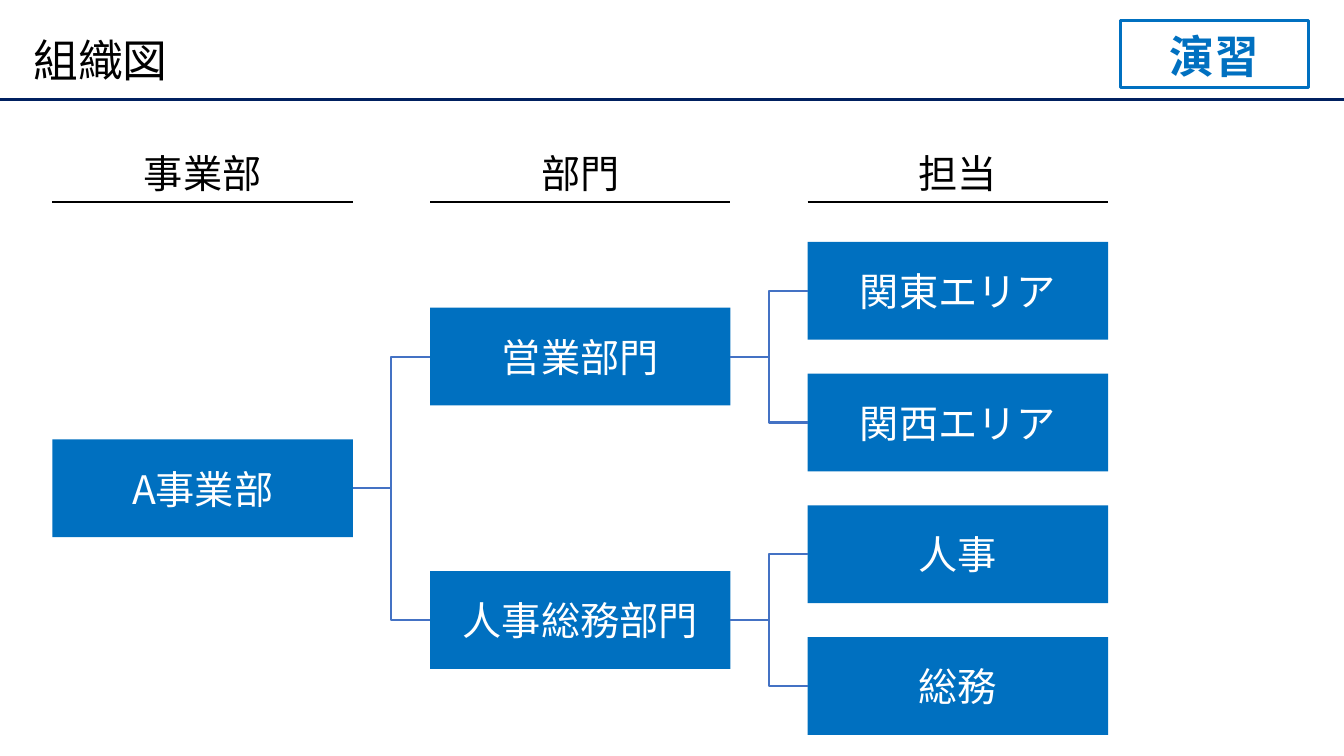
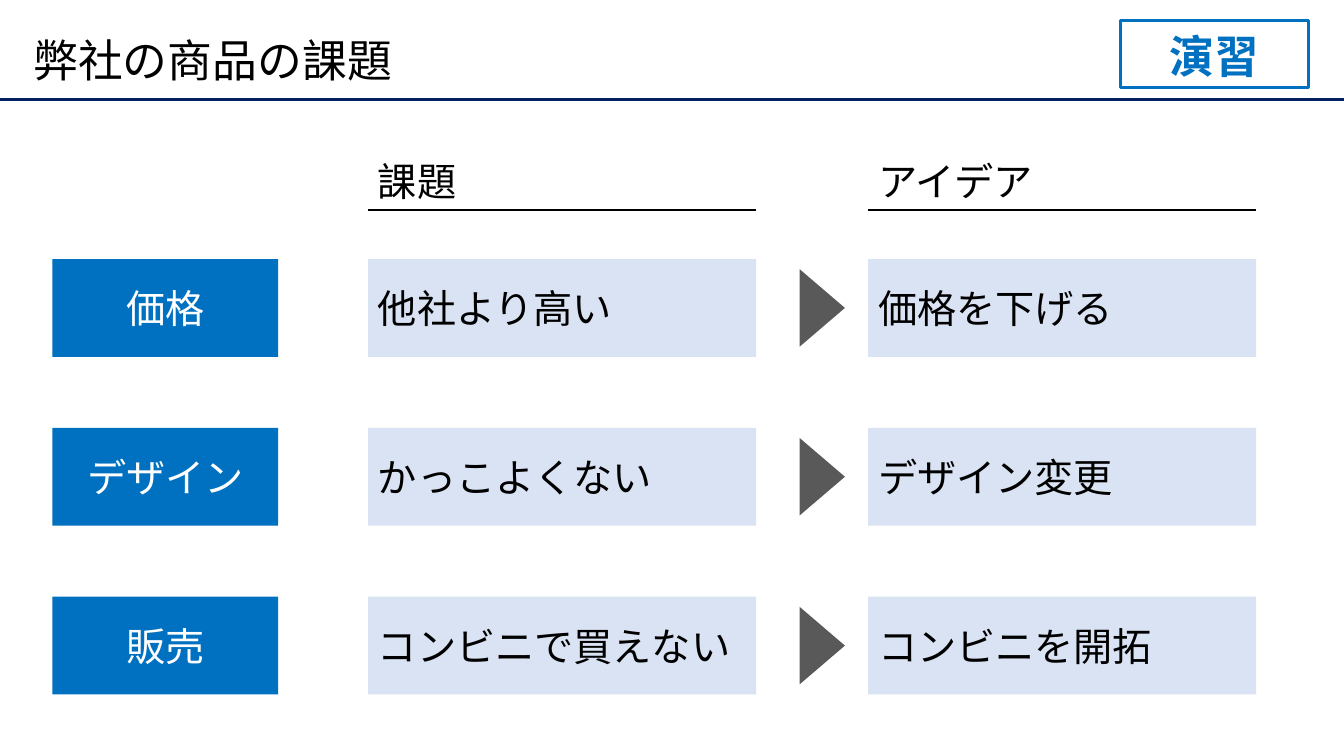
from dataclasses import dataclass

from lxml import etree
from pptx import Presentation
from pptx.dml.color import RGBColor
from pptx.enum.shapes import MSO_CONNECTOR, MSO_SHAPE
from pptx.enum.text import MSO_ANCHOR, MSO_AUTO_SIZE, PP_ALIGN
from pptx.oxml.ns import qn
from pptx.util import Inches, Pt

STRAIGHT, ELBOW = MSO_CONNECTOR.STRAIGHT, MSO_CONNECTOR.ELBOW
RECTANGLE, TRIANGLE = MSO_SHAPE.RECTANGLE, MSO_SHAPE.ISOSCELES_TRIANGLE
LEFT, CENTER = PP_ALIGN.LEFT, PP_ALIGN.CENTER
MIDDLE, BOTTOM = MSO_ANCHOR.MIDDLE, MSO_ANCHOR.BOTTOM
LEFT_SIDE, RIGHT_SIDE = 1, 3
TITLE_ONLY = 5


@dataclass(frozen=True)
class Theme:
    font: str = "Noto Sans CJK JP"
    title_size: int = 32
    body_size: int = 28
    frame_width: float = 2.25
    line_width: float = 1.5
    navy: str = "002060"
    blue: str = "0070C0"
    link: str = "4472C4"
    pale: str = "DAE3F3"
    gray: str = "595959"
    black: str = "000000"
    white: str = "FFFFFF"


@dataclass(frozen=True)
class Box:
    left: float
    top: float
    width: float
    height: float

    def inches(self):
        return [Inches(v) for v in (self.left, self.top, self.width, self.height)]


THEME = Theme()
SLIDE = Box(0, 0, 13.33, 7.5)
TITLE = Box(0.23, 0.2, 12.6, 0.84)
BADGE = Box(11.11, 0.2, 1.87, 0.67)
TITLE_RULE_Y = 0.99
CELL_HEIGHT = 0.97
HEADING_WIDTH, HEADING_HEIGHT = 1.79, 0.57

DIVISION = "A事業部"
DEPARTMENTS = {
    "営業部門": ["関東エリア", "関西エリア"],
    "人事総務部門": ["人事", "総務"],
}
ISSUES = [
    ("価格", "他社より高い", "価格を下げる"),
    ("デザイン", "かっこよくない", "デザイン変更"),
    ("販売", "コンビニで買えない", "コンビニを開拓"),
]


def write(frame, text, size, color, align=LEFT, bold=False):
    frame.text = text
    paragraph = frame.paragraphs[0]
    paragraph.alignment = align
    font = paragraph.font
    font.name, font.size, font.bold = THEME.font, Pt(size), bold
    font.color.rgb = RGBColor.from_string(color)
    defaults = paragraph._p.pPr.find(qn("a:defRPr"))
    etree.SubElement(defaults, qn("a:ea")).set("typeface", THEME.font)
    return paragraph


def add_block(slide, box, fill=None, kind=RECTANGLE):
    block = slide.shapes.add_shape(kind, *box.inches())
    block.shadow.inherit = False
    block.line.fill.background()
    if fill:
        block.fill.solid()
        block.fill.fore_color.rgb = RGBColor.from_string(fill)
    else:
        block.fill.background()
    return block


def add_cell(slide, box, text, fill=THEME.blue, color=THEME.white, align=CENTER):
    cell = add_block(slide, box, fill)
    cell.text_frame.vertical_anchor = MIDDLE
    write(cell.text_frame, text, THEME.body_size, color, align)
    return cell


def add_line(slide, kind, start, end, color, width=THEME.line_width):
    line = slide.shapes.add_connector(kind, *[Inches(v) for v in (*start, *end)])
    line.line.color.rgb = RGBColor.from_string(color)
    line.line.width = Pt(width)
    etree.SubElement(line._element.spPr, qn("a:effectLst"))
    return line


def add_link(slide, parent, child):
    link = add_line(slide, ELBOW, (0, 0), (1, 1), THEME.link)
    link.begin_connect(parent, RIGHT_SIDE)
    link.end_connect(child, LEFT_SIDE)


def add_heading(slide, left, top, width, text, align):
    rule_y = top + HEADING_HEIGHT
    add_line(slide, STRAIGHT, (left, rule_y), (left + width, rule_y), THEME.black)
    indent = (width - HEADING_WIDTH) / 2 if align == CENTER else 0
    box = Box(left + indent, top, HEADING_WIDTH, HEADING_HEIGHT)
    frame = slide.shapes.add_textbox(*box.inches()).text_frame
    frame.word_wrap = True
    frame.auto_size = MSO_AUTO_SIZE.SHAPE_TO_FIT_TEXT
    write(frame, text, THEME.body_size, THEME.black, align)


def add_titled_slide(deck, title):
    slide = deck.slides.add_slide(deck.slide_layouts[TITLE_ONLY])
    heading = slide.shapes.title
    heading.left, heading.top, heading.width, heading.height = TITLE.inches()
    frame = heading.text_frame
    frame.vertical_anchor = MIDDLE
    frame.auto_size = MSO_AUTO_SIZE.NONE
    write(frame, title, THEME.title_size, THEME.black).line_spacing = 0.9

    badge = add_block(slide, BADGE)
    badge.line.color.rgb = RGBColor.from_string(THEME.blue)
    badge.line.width = Pt(THEME.frame_width)
    badge.text_frame.vertical_anchor = BOTTOM
    write(badge.text_frame, "演習", THEME.title_size, THEME.blue, CENTER, True)
    return slide


def add_title_rule(deck, slide):
    rule = add_line(slide, STRAIGHT, (0, TITLE_RULE_Y), (SLIDE.width, TITLE_RULE_Y),
                    THEME.navy, THEME.frame_width)
    deck.slide_layouts[TITLE_ONLY].shapes._spTree.append(rule._element)


def add_org_chart(slide, area):
    width = 2.98
    column_pitch = (area.width - width) / 2
    leaf_top = area.top + 0.97
    leaf_count = sum(len(teams) for teams in DEPARTMENTS.values())
    row_pitch = (area.top + area.height - CELL_HEIGHT - leaf_top) / (leaf_count - 1)

    def add_unit(column, row, name):
        box = Box(area.left + column * column_pitch, leaf_top + row * row_pitch,
                  width, CELL_HEIGHT)
        return add_cell(slide, box, name)

    for column, name in enumerate(["事業部", "部門", "担当"]):
        add_heading(slide, area.left + column * column_pitch, area.top, width, name, CENTER)

    division = add_unit(0, (leaf_count - 1) / 2, DIVISION)
    first_row = 0
    for name, teams in DEPARTMENTS.items():
        department = add_unit(1, first_row + (len(teams) - 1) / 2, name)
        add_link(slide, division, department)
        for row, team in enumerate(teams, first_row):
            add_link(slide, department, add_unit(2, row, team))
        first_row += len(teams)


def add_issue_grid(slide, area):
    topic_width, answer_width = 2.24, 3.85
    idea_left = area.left + area.width - answer_width
    issue_left = area.left + 3.13
    arrow_width, arrow_height = 0.77, 0.45
    arrow_left = idea_left - 0.84
    first_top = area.top + 1.06
    row_pitch = (area.top + area.height - CELL_HEIGHT - first_top) / (len(ISSUES) - 1)

    for left, name in ((issue_left, "課題"), (idea_left, "アイデア")):
        add_heading(slide, left, area.top, answer_width, name, LEFT)

    for row, (topic, issue, idea) in enumerate(ISSUES):
        top = first_top + row * row_pitch
        add_cell(slide, Box(area.left, top, topic_width, CELL_HEIGHT), topic)
        for left, answer in ((issue_left, issue), (idea_left, idea)):
            add_cell(slide, Box(left, top, answer_width, CELL_HEIGHT), answer,
                     THEME.pale, THEME.black, LEFT)
        arrow_top = top + (CELL_HEIGHT - arrow_height) / 2
        arrow = add_block(slide, Box(arrow_left, arrow_top, arrow_width, arrow_height),
                          THEME.gray, TRIANGLE)
        arrow.rotation = 90


def main():
    deck = Presentation()
    deck.slide_width, deck.slide_height = Inches(SLIDE.width), Inches(SLIDE.height)

    organization = add_titled_slide(deck, "組織図")
    add_title_rule(deck, organization)
    add_org_chart(organization, Box(0.52, 1.43, 10.47, 5.86))

    issues = add_titled_slide(deck, "弊社の商品の課題")
    add_issue_grid(issues, Box(0.52, 1.51, 11.94, 5.38))

    deck.save("out.pptx")


if __name__ == "__main__":
    main()
